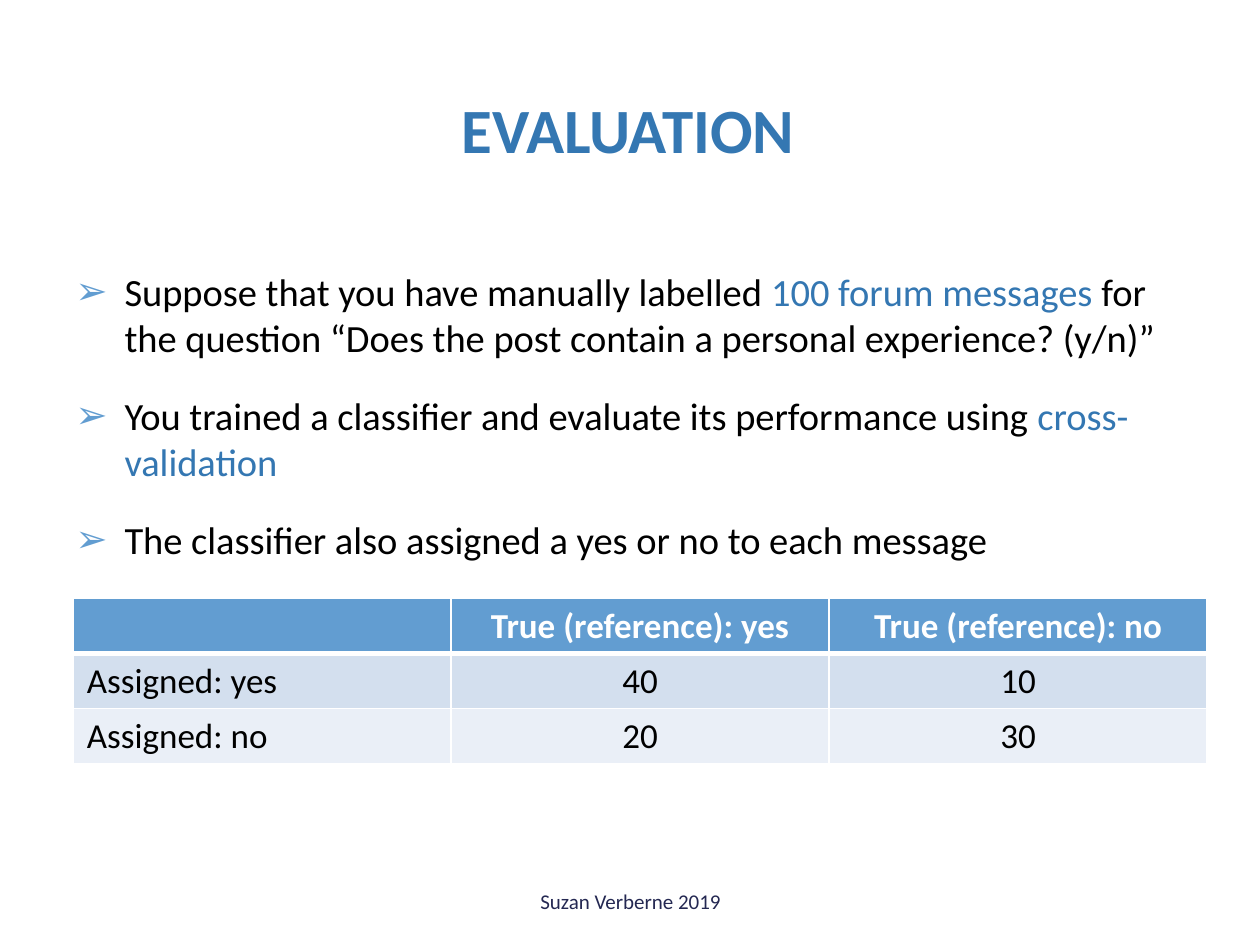
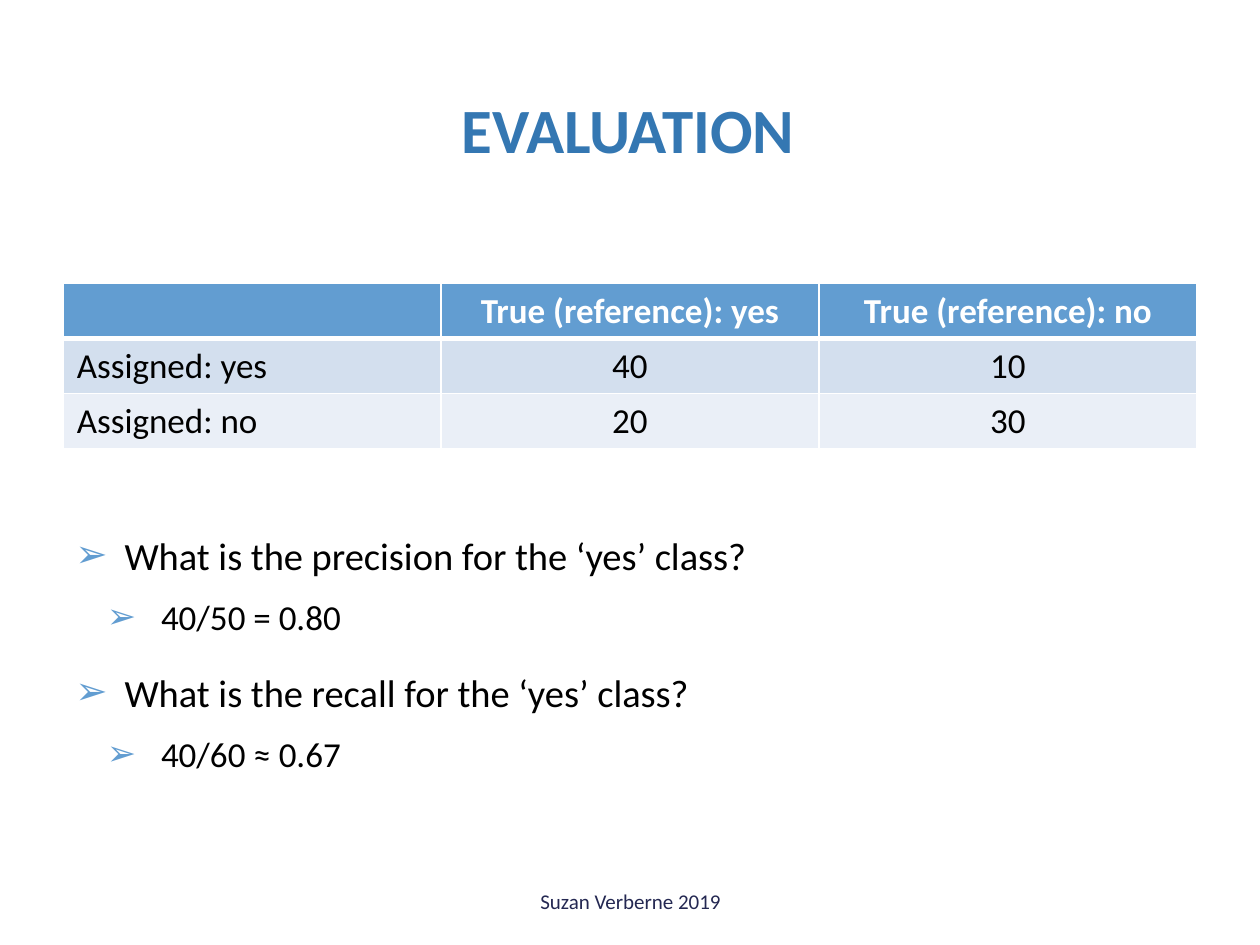
"""Build two slides on evaluating a yes/no classifier of forum messages."""
import pptx
import pptx.dml.color
import pptx.enum.shapes
import pptx.enum.text
import pptx.oxml.ns
import pptx.util
from lxml import etree

Inches = pptx.util.Inches
RGB = pptx.dml.color.RGBColor.from_string
CENTER = pptx.enum.text.PP_ALIGN.CENTER
MIDDLE = pptx.enum.text.MSO_ANCHOR.MIDDLE
SHAPES = pptx.enum.shapes.MSO_SHAPE

COLORS = {
    "title": "3477B2",
    "footer": "242852",
    "text": "000000",
    "bullet": "629DD1",
    "header": "629DD1",
    "white": "FFFFFF",
}
ROW_FILLS = [COLORS["header"], "D3DFEE", "EAEFF7"]
PANELS = [
    (SHAPES.ROUNDED_RECTANGLE, (0.18, 0.03, 9.8, 7.29), 100),
    (SHAPES.RECTANGLE, (0.3, 0.3, 9.4, 1.45), 83),
    (SHAPES.RECTANGLE, (0.41, 0.41, 9.17, 1.22), 100),
]
BANNERS = [
    ("EVALUATION", (0.47, 0.45, 9.03, 1.14), 36, "title", True),
    ("Suzan Verberne 2019", (3.42, 6.95, 3.17, 0.4), 12, "footer", False),
]
CONFUSION = [
    ["", "True (reference): yes", "True (reference): no"],
    ["Assigned: yes", "40", "10"],
    ["Assigned: no", "20", "30"],
]
LEVELS = [
    {"indent": 0.39, "hanging": 0.39, "before": 18, "size": 22},
    {"indent": 0.68, "hanging": 0.43, "before": 10, "size": 20},
]
PAGES = [
    {
        "table": (0.58, 4.75),
        "body": (0.5, 2.08, 9, 2.58),
        "points": [
            (0, [
                ("Suppose that you have manually labelled ", "text"),
                ("100 forum messages ", "title"),
                ("for the question “Does the post contain a personal experience? (y/n)”", "text"),
            ]),
            (0, [
                ("You trained a classifier and evaluate its performance using ", "text"),
                ("cross-validation", "title"),
            ]),
            (0, [("The classifier also assigned a yes or no to each message", "text")]),
        ],
    },
    {
        "table": (0.5, 2.25),
        "body": (0.5, 4.17, 9, 2.53),
        "points": [
            (0, [("What is the precision for the ‘yes’ class?", "text")]),
            (1, [("40/50 = 0.80", "text")]),
            (0, [("What is the recall for the ‘yes’ class?", "text")]),
            (1, [("40/60 ≈ 0.67", "text")]),
        ],
    },
]


def add_element(parent, tag, **attributes):
    return etree.SubElement(parent, pptx.oxml.ns.qn(tag), attributes)


def set_font(font, size, color, bold=False):
    font.name = "Calibri"
    font.size = pptx.util.Pt(size)
    font.bold = bold
    font.color.rgb = RGB(COLORS[color])


deck = pptx.Presentation()
deck.slide_width = Inches(10)
deck.slide_height = Inches(7.5)

for content in PAGES:
    page = deck.slides.add_slide(deck.slide_layouts[6])

    for kind, place, opacity in PANELS:
        panel = page.shapes.add_shape(kind, *map(Inches, place))
        panel.shadow.inherit = False
        panel.line.fill.background()
        panel.fill.solid()
        panel.fill.fore_color.rgb = RGB(COLORS["white"])
        if kind == SHAPES.ROUNDED_RECTANGLE:
            panel.adjustments[0] = 0.02
        if opacity < 100:
            color_node = panel._element.spPr.find(".//" + pptx.oxml.ns.qn("a:srgbClr"))
            add_element(color_node, "a:alpha", val=str(opacity * 1000))

    for text, place, size, color, bold in BANNERS:
        box = page.shapes.add_textbox(*map(Inches, place))
        box.text_frame.word_wrap = True
        box.text_frame.vertical_anchor = MIDDLE
        para = box.text_frame.paragraphs[0]
        para.text = text
        para.alignment = CENTER
        set_font(para.font, size, color, bold)

    left, top = content["table"]
    table = page.shapes.add_table(
        3, 3, Inches(left), Inches(top), Inches(9), Inches(1.31)
    ).table
    table.first_row = False
    table.horz_banding = False
    for row_index, row in enumerate(CONFUSION):
        is_header = row_index == 0
        for column_index, text in enumerate(row):
            cell = table.cell(row_index, column_index)
            cell.margin_left = cell.margin_right = Inches(0.11)
            properties = cell._tc.get_or_add_tcPr()
            for side in "LRTB":
                thick = (is_header and side == "B") or (row_index == 1 and side == "T")
                width = pptx.util.Pt(3 if thick else 1)
                border = add_element(properties, f"a:ln{side}", w=str(width))
                line_fill = add_element(border, "a:solidFill")
                add_element(line_fill, "a:srgbClr", val=COLORS["white"])
            cell.fill.solid()
            cell.fill.fore_color.rgb = RGB(ROW_FILLS[row_index])
            para = cell.text_frame.paragraphs[0]
            para.text = text
            if column_index > 0:
                para.alignment = CENTER
            set_font(para.font, 20, "white" if is_header else "text", is_header)

    box = page.shapes.add_textbox(*map(Inches, content["body"]))
    frame = box.text_frame
    frame.word_wrap = True
    for index, (level, spans) in enumerate(content["points"]):
        style = LEVELS[level]
        para = frame.add_paragraph() if index else frame.paragraphs[0]
        para.level = level
        if index:
            para.space_before = pptx.util.Pt(style["before"])
        properties = para._p.get_or_add_pPr()
        properties.set("marL", str(Inches(style["indent"])))
        properties.set("indent", str(-Inches(style["hanging"])))
        bullet_color = add_element(properties, "a:buClr")
        add_element(bullet_color, "a:srgbClr", val=COLORS["bullet"])
        add_element(properties, "a:buFont", typeface="Calibri")
        add_element(properties, "a:buChar", char="➢")
        set_font(para.font, style["size"], "text")
        for text, color in spans:
            span = para.add_run()
            span.text = text
            if color != "text":
                span.font.color.rgb = RGB(COLORS[color])

deck.save("out.pptx")
